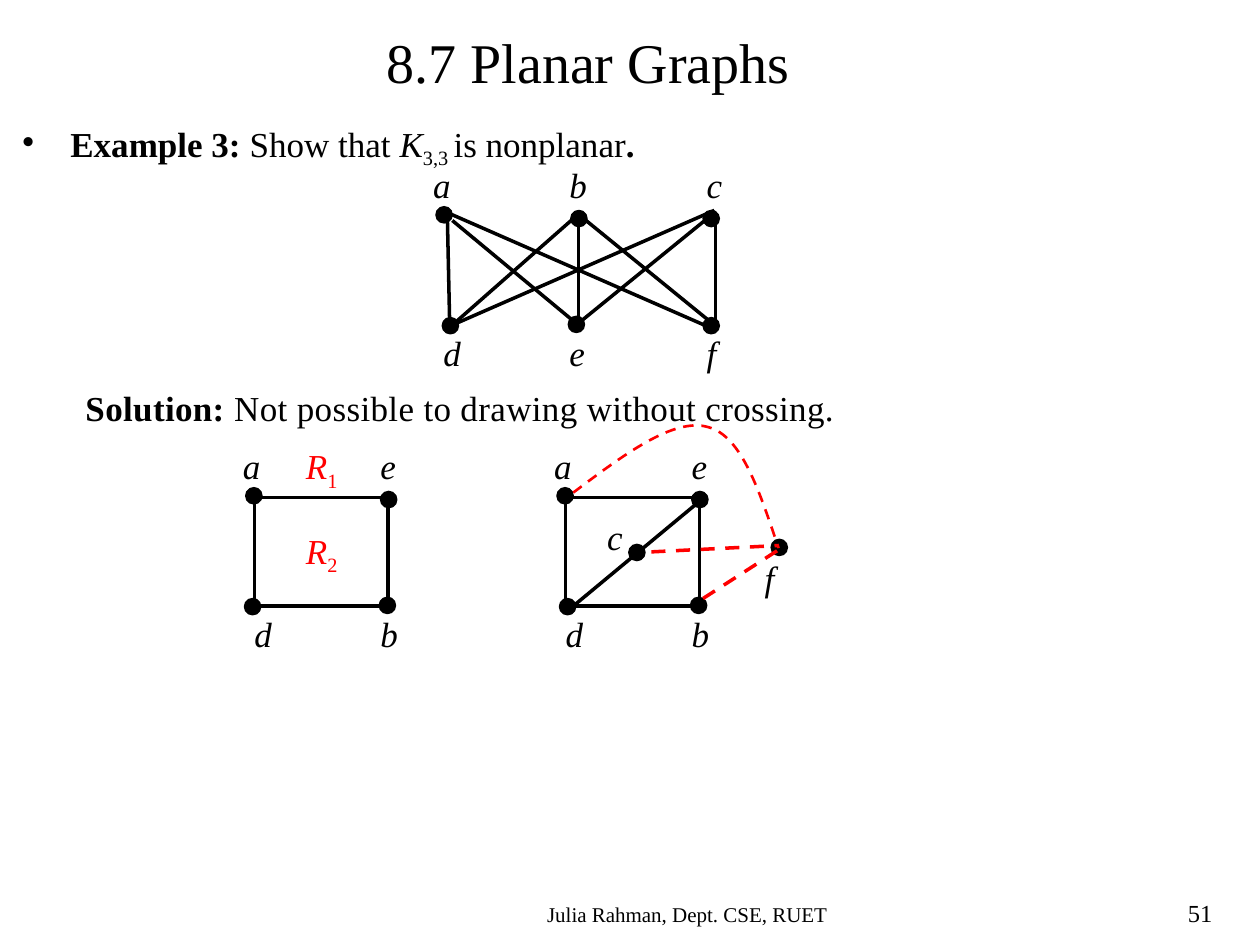
from lxml.etree import SubElement
from pptx import Presentation
from pptx.dml.color import RGBColor
from pptx.enum.dml import MSO_LINE
from pptx.enum.shapes import MSO_CONNECTOR, MSO_SHAPE
from pptx.enum.text import MSO_AUTO_SIZE, PP_ALIGN
from pptx.oxml.ns import qn
from pptx.util import Inches, Pt

BLACK, RED = "000000", "FF0000"
DOT = 0.13


def color(value):
    return RGBColor.from_string(value)


class Board:
    """Holds the style and the slide; shapes go to the current group."""

    font = "Times New Roman"

    def __init__(self, slide):
        self.slide = slide
        self.shapes = slide.shapes

    def group(self):
        self.shapes = self.slide.shapes.add_group_shape().shapes

    def run(self, p, text, size=20, ink=BLACK, sub=False, spacing=None, **format):
        r = p.add_run()
        r.text = text
        values = {"name": self.font, "size": Pt(size), **format}
        for name, value in values.items():
            setattr(r.font, name, value)
        r.font.color.rgb = color(ink)
        if sub:
            r.font._element.set("baseline", "-25000")
        if spacing:
            r.font._element.set("spc", str(spacing))

    def text(self, x, y, w, h, runs, wrap=True, align=PP_ALIGN.LEFT):
        """Add a box with one paragraph; runs are (text, format) pairs."""
        sp = self.shapes.add_textbox(Inches(x), Inches(y), Inches(w), Inches(h))
        tf = sp.text_frame
        tf.word_wrap = wrap
        tf.auto_size = MSO_AUTO_SIZE.SHAPE_TO_FIT_TEXT
        p = tf.paragraphs[0]
        p.alignment = align
        for content, format in runs:
            self.run(p, content, **format)
        return tf

    def label(self, name, x, y, w=0.34, sub=None, ink=BLACK):
        runs = [(name, {"italic": True, "ink": ink})]
        if sub:
            runs.append((sub, {"sub": True, "ink": ink}))
        self.text(x, y, w, 0.44, runs, wrap=False)

    def stroke(self, sp, ink, width, dash):
        sp.line.color.rgb = color(ink)
        sp.line.width = Pt(width)
        if dash:
            sp.line.dash_style = MSO_LINE.DASH

    def edge(self, x1, y1, x2, y2, ink=BLACK, dash=False):
        sp = self.shapes.add_connector(
            MSO_CONNECTOR.STRAIGHT, Inches(x1), Inches(y1), Inches(x2), Inches(y2))
        self.stroke(sp, ink, 2, dash)
        SubElement(sp._element.spPr, qn("a:effectLst"))

    def dot(self, x, y):
        sp = self.shapes.add_shape(
            MSO_SHAPE.FLOWCHART_CONNECTOR, Inches(x), Inches(y), Inches(DOT), Inches(DOT))
        sp.shadow.inherit = False
        sp.fill.solid()
        sp.fill.fore_color.rgb = color(BLACK)
        self.stroke(sp, BLACK, 0.75, False)

    def curve(self, points, ink, width):
        """Add a dashed Bezier curve: a start, then three points per segment."""
        start, *rest = [(Inches(x), Inches(y)) for x, y in points]
        builder = self.shapes.build_freeform(*start)
        builder.add_line_segments(rest, close=False)
        sp = builder.convert_to_shape()
        sp.shadow.inherit = False
        sp.fill.background()
        self.stroke(sp, ink, width, True)
        outline = sp._element.spPr.find(".//" + qn("a:path"))
        lines = outline.findall(qn("a:lnTo"))
        for i in range(0, len(lines), 3):
            bezier = SubElement(outline, qn("a:cubicBezTo"))
            for line in lines[i:i + 3]:
                bezier.append(line[0])
                outline.remove(line)


def add_body(board):
    tf = board.text(0.08, 0.92, 9.92, 6.17, [])
    tf.auto_size = MSO_AUTO_SIZE.NONE
    p = tf.paragraphs[0]
    pPr = p._p.get_or_add_pPr()
    pPr.set("marL", str(Inches(0.38)))
    pPr.set("indent", str(Inches(-0.38)))
    SubElement(pPr, qn("a:buChar")).set("char", "•")
    board.run(p, "Example 3: ", bold=True)
    board.run(p, "Show that ")
    board.run(p, "K", italic=True)
    board.run(p, "3,3 ", sub=True)
    board.run(p, "is nonplanar")
    board.run(p, ".", bold=True)

    p = tf.add_paragraph()
    p._p.get_or_add_pPr().set("marL", str(Inches(0.5)))
    p.space_before = Pt(124)
    board.run(p, "Solution: ", bold=True, spacing=20)
    board.run(p, "Not possible to drawing without crossing.", spacing=20)


def add_bipartite(board):
    board.group()
    for ends in [(4.59, 1.68, 4.59, 2.55), (3.55, 1.7, 3.57, 2.61),
                 (5.68, 1.68, 4.61, 2.55), (3.59, 1.75, 4.59, 2.58),
                 (5.68, 1.73, 5.68, 2.59), (3.51, 1.67, 5.59, 2.58),
                 (5.67, 2.58, 4.59, 1.7), (3.59, 2.58, 4.59, 1.7),
                 (3.59, 2.58, 5.67, 1.67)]:
        board.edge(*ends)
    for x, y in [(3.46, 1.64), (4.53, 1.67), (5.58, 1.67),
                 (3.51, 2.52), (4.51, 2.51), (5.58, 2.52)]:
        board.dot(x, y)
    for names, xs, y in [("abc", (3.34, 4.42, 5.51), 1.25),
                         ("def", (3.42, 4.42, 5.51), 2.58)]:
        for name, x in zip(names, xs):
            board.label(name, x, y, 0.28 if name == "f" else 0.34)


def add_square(board, left, d_left):
    """Add the cycle a-e-b-d; left is the x of dot a, d_left that of dot d."""
    board.group()
    for x1, y1, x2, y2 in [(1.13, 3.91, 1.13, 4.78), (0.07, 3.93, 0.07, 4.84),
                           (0.13, 3.95, 1.13, 3.95), (0.07, 4.81, 1.13, 4.81)]:
        board.edge(left + x1, y1, left + x2, y2)
    for x, y in [(left, 3.87), (d_left, 4.75), (left + 1.06, 4.74), (left + 1.07, 3.9)]:
        board.dot(x, y)
    for name, x, y in [("a", -0.12, 3.48), ("e", 0.97, 3.48),
                       ("d", -0.03, 4.81), ("b", 0.97, 4.81)]:
        board.label(name, left + x, y)


def main():
    prs = Presentation()
    prs.slide_width, prs.slide_height = Inches(10), Inches(7.5)
    s = prs.slides.add_slide(prs.slide_layouts[6])
    board = Board(s)

    add_body(board)
    board.text(9.33, 7.08, 0.67, 0.33, [("51", {"size": 14})])
    board.text(2.58, 7.11, 5.75, 0.3,
               [("Julia Rahman, Dept. CSE, RUET", {"size": 12})], align=PP_ALIGN.CENTER)
    board.text(2.97, 0.17, 3.7, 0.64, [("8.7 Planar Graphs", {"size": 32})])

    add_bipartite(board)

    add_square(board, 1.95, 1.94)
    for region, y in [("1", 3.48), ("2", 4.15)]:
        board.label("R", 2.33, y, 0.47, sub=region, ink=RED)

    add_square(board, 4.42, 4.44)
    board.edge(4.55, 4.81, 5.55, 3.98)
    board.dot(4.99, 4.32)
    board.label("c", 4.72, 4.04, 0.33)
    board.label("f", 5.97, 4.37, 0.28)

    board.group()
    board.dot(6.12, 4.28)
    board.edge(5.17, 4.38, 6.17, 4.33, RED, dash=True)
    board.curve([(4.55, 3.91), (4.95, 3.61), (5.35, 3.31), (5.62, 3.39),
                 (5.89, 3.46), (6.03, 3.91), (6.18, 4.35)], RED, 1.5)
    board.edge(5.58, 4.75, 6.17, 4.37, RED, dash=True)

    prs.save("out.pptx")


if __name__ == "__main__":
    main()
